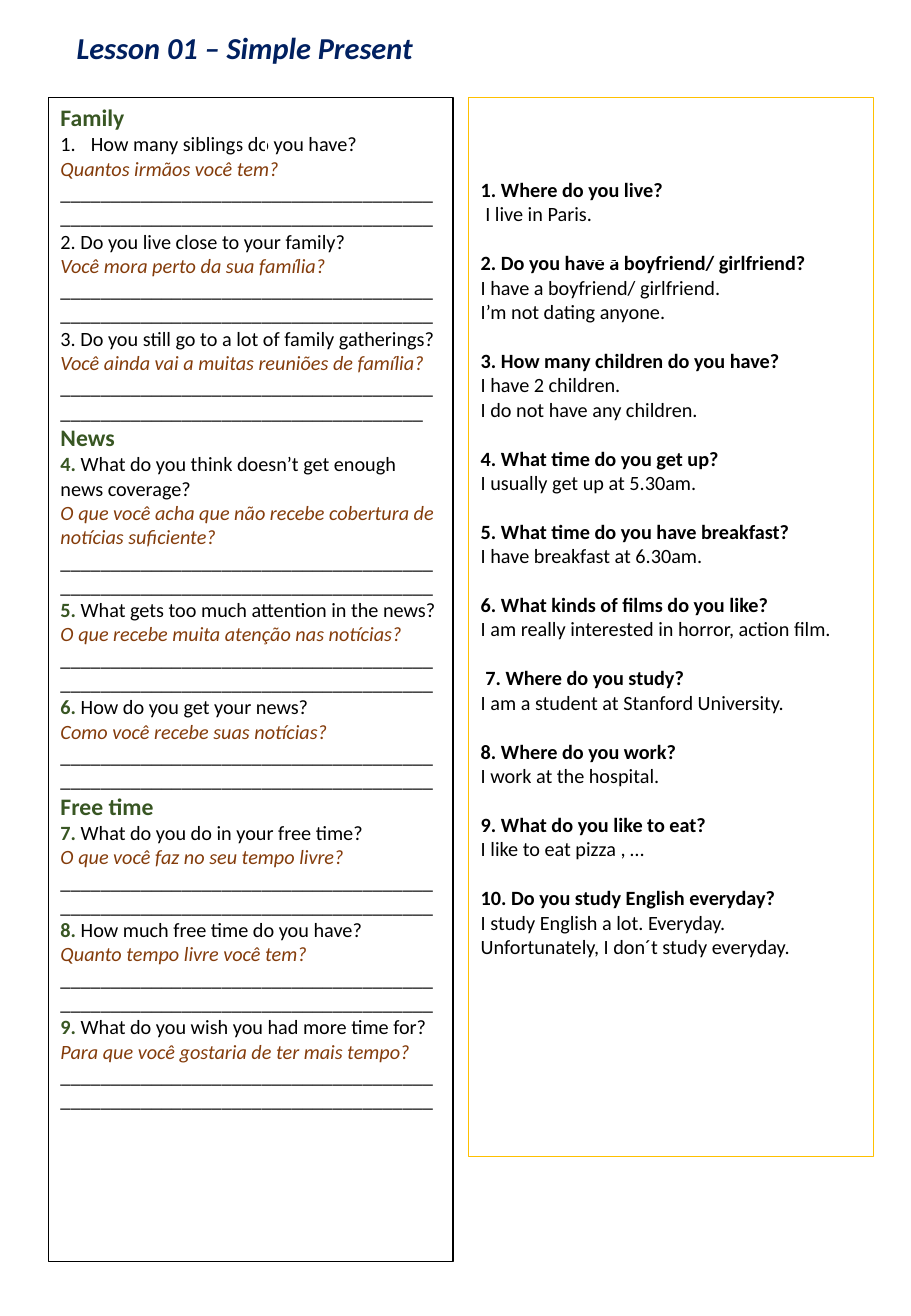
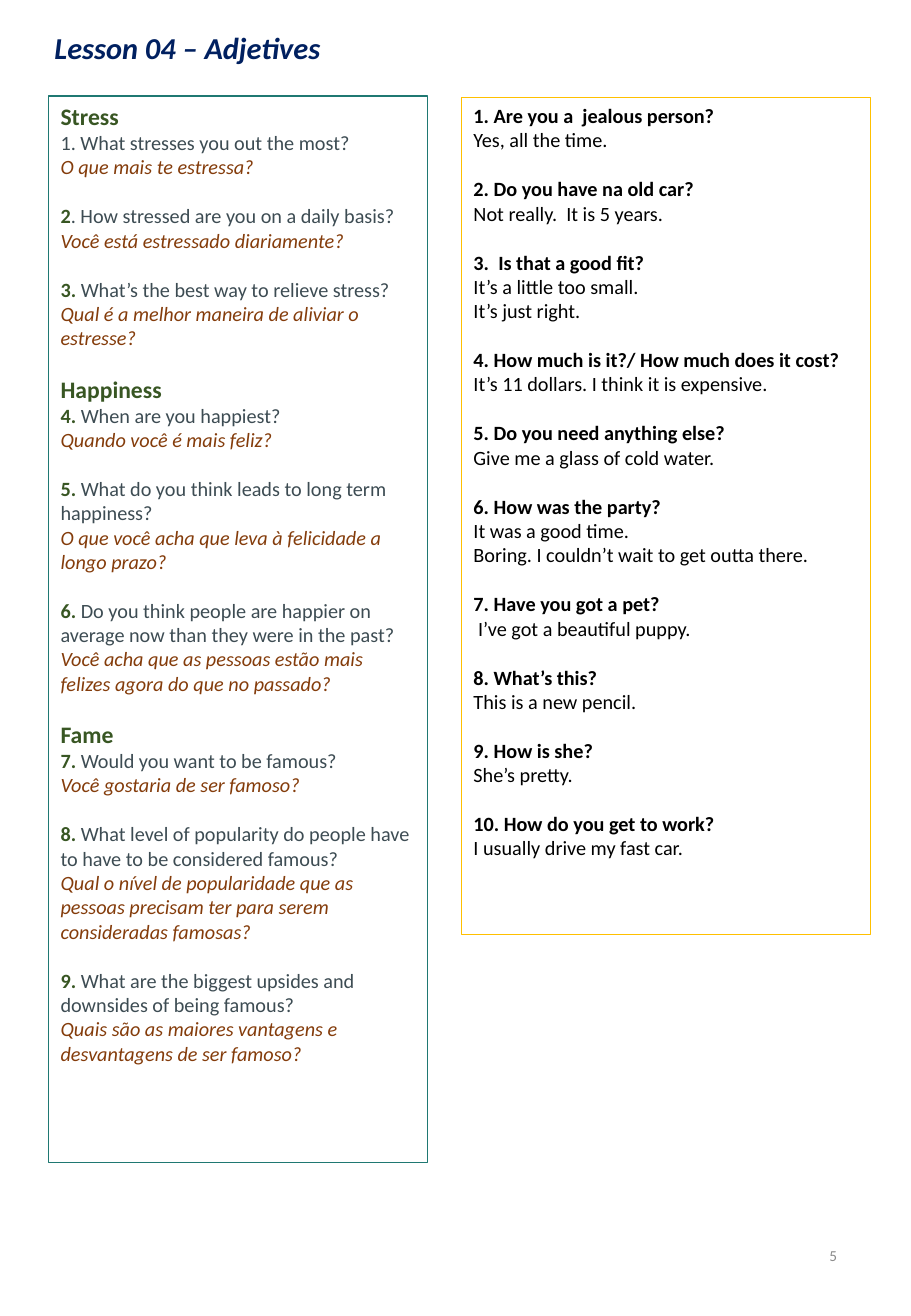
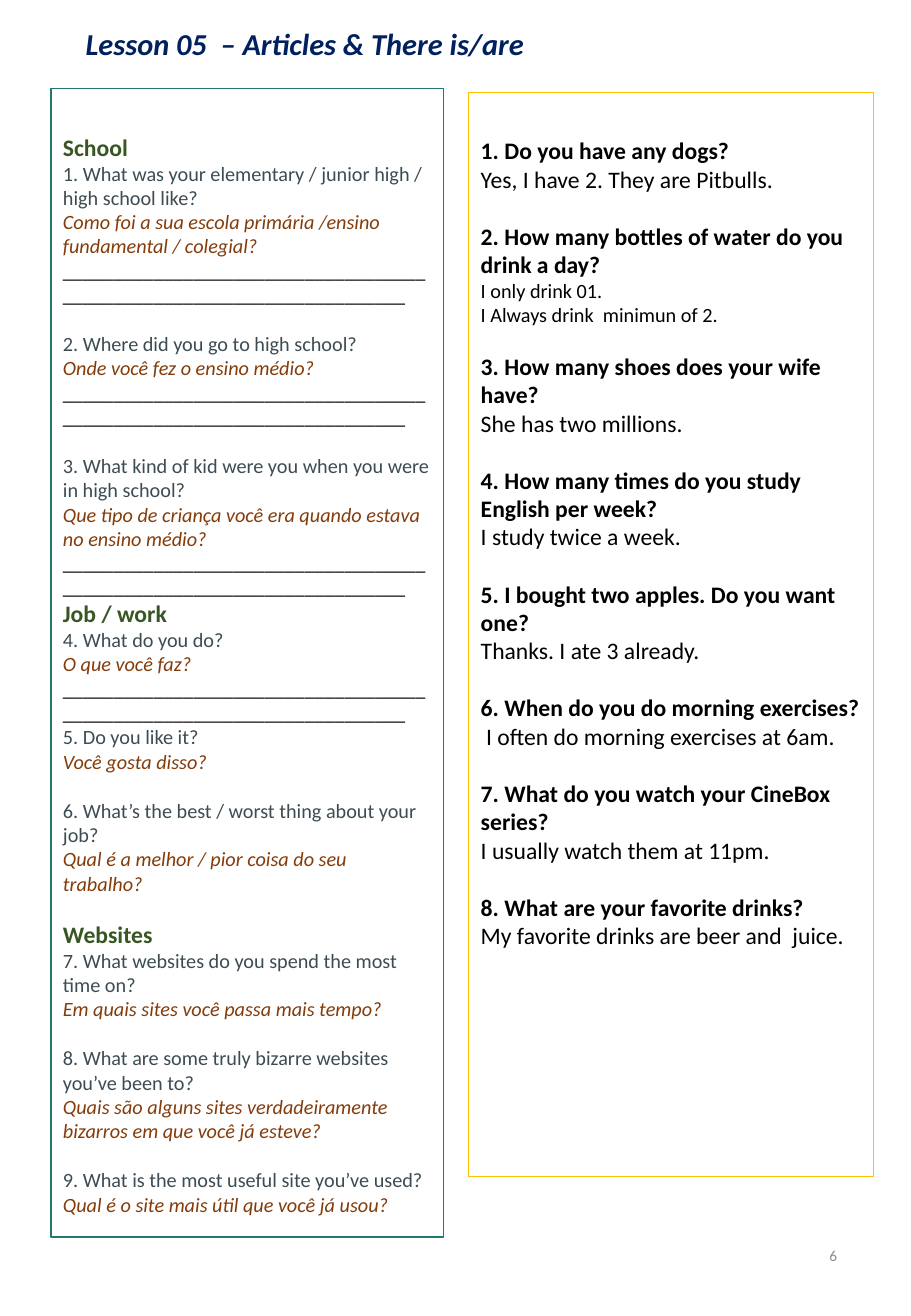
from dataclasses import dataclass

from lxml.etree import SubElement
from pptx import Presentation
from pptx.dml.color import RGBColor
from pptx.enum.shapes import MSO_SHAPE
from pptx.enum.text import MSO_ANCHOR, PP_ALIGN
from pptx.oxml.ns import qn
from pptx.util import Inches, Pt

# Shared style
FONT = "Calibri"
BLACK, WHITE, SLATE = "000000", "FFFFFF", "3D4C53"
NAVY, GREEN, BROWN, GRAY = "002060", "385623", "843C0B", "8B8B8B"
GOLD, TEAL = "FFC000", "1F7872"
BODY, HEADING, TITLE, FOOTER = 12, 14, 18, 9
LINE_HEIGHT = 1.22


def color(hex_string):
    return RGBColor.from_string(hex_string)


@dataclass
class Question:
    """A numbered question with its translation and an optional answer rule."""
    text: str
    translation: str
    lead: str = ""
    rule: int = 0
    gap: bool = False
    numbered: bool = False


@dataclass
class Topic:
    title: str
    questions: list
    gap: bool = False


@dataclass
class Dialogue:
    question: str
    answers: list
    answer_size: int = 0


class Worksheet:
    def __init__(self):
        self.deck = Presentation()
        self.deck.slide_width = Inches(7.5)
        self.deck.slide_height = Inches(10.83)
        self.slide = None

    def new_slide(self):
        self.slide = self.deck.slides.add_slide(self.deck.slide_layouts[6])

    def style(self, run, size, ink, bold=False, italic=False):
        font = run.font
        font.name, font.size = FONT, Pt(size)
        font.bold, font.italic = bold, italic
        font.color.rgb = color(ink)

    def label(self, text, place, size, ink, align, bold=False, italic=False):
        box = self.slide.shapes.add_textbox(*map(Inches, place))
        frame = box.text_frame
        frame.text = text
        line = frame.paragraphs[0]
        line.alignment = align
        self.style(line.runs[0], size, ink, bold, italic)
        return frame

    def title(self, text, place, align=PP_ALIGN.CENTER):
        frame = self.label(text, place, TITLE, NAVY, align, True, True)
        frame.word_wrap = False
        frame.paragraphs[0].line_spacing = 1.07

    def page_number(self, number):
        frame = self.label(str(number), (5.3, 10.04, 1.69, 0.58), FOOTER,
                           GRAY, PP_ALIGN.RIGHT)
        frame.word_wrap = True
        frame.vertical_anchor = MSO_ANCHOR.MIDDLE

    def outline(self, place, border, top_inset=0.05):
        panel = self.slide.shapes.add_shape(MSO_SHAPE.RECTANGLE,
                                            *map(Inches, place))
        panel.shadow.inherit = False
        panel.fill.background()
        panel.line.color.rgb = color(border)
        panel.line.width = Pt(0.75)
        frame = panel.text_frame
        frame.word_wrap = True
        frame.vertical_anchor = MSO_ANCHOR.TOP
        frame.margin_top = Inches(top_inset)
        return frame

    def paragraph(self, frame, text, size, ink, bold=False, italic=False,
                  gap=0, lead=""):
        line = frame.paragraphs[0]
        if line.runs:
            line = frame.add_paragraph()
            line.space_before = Pt(gap * LINE_HEIGHT)
        line.alignment = PP_ALIGN.LEFT
        line.text = lead or text
        if lead:
            line.add_run().text = text
            self.style(line.runs[0], size, GREEN, True)
        self.style(line.runs[-1], size, ink, bold, italic)
        return line

    def auto_number(self, line):
        props = line._p.get_or_add_pPr()
        props.set("marL", str(Inches(0.25)))
        props.set("indent", str(Inches(-0.25)))
        number_color = SubElement(props, qn("a:buClr"))
        SubElement(number_color, qn("a:srgbClr"), val=BLACK)
        SubElement(props, qn("a:buFont"), typeface=FONT)
        SubElement(props, qn("a:buAutoNum"), type="arabicPeriod")

    def topics(self, topics, place, border, ink, top_inset=0.05):
        frame = self.outline(place, border, top_inset)
        for topic in topics:
            self.paragraph(frame, topic.title, HEADING, GREEN, True,
                           gap=BODY * topic.gap)
            for item in topic.questions:
                line = self.paragraph(frame, item.text, BODY, ink,
                                      gap=BODY * item.gap, lead=item.lead)
                if item.numbered:
                    self.auto_number(line)
                self.paragraph(frame, item.translation, BODY, BROWN,
                               italic=True)
                if item.rule:
                    self.paragraph(frame, "_" * item.rule, BODY, BLACK)

    def dialogues(self, dialogues, place, size=BODY, top_inset=0.05):
        frame = self.outline(place, GOLD, top_inset)
        gap = 0
        for talk in dialogues:
            self.paragraph(frame, talk.question, size, BLACK, True, gap=gap)
            gap = talk.answer_size or size
            for answer in talk.answers:
                self.paragraph(frame, answer, gap, BLACK)


def simple_present(sheet):
    sheet.new_slide()
    sheet.dialogues([
        Dialogue("1. Where do you live?", [" I live in Paris."]),
        Dialogue("2. Do you have a boyfriend/ girlfriend?",
                 ["I have a boyfriend/ girlfriend.",
                  "I’m not dating anyone."]),
        Dialogue("3. How many children do you have?",
                 ["I have 2 children.", "I do not have any children."]),
        Dialogue("4. What time do you get up?",
                 ["I usually get up at 5.30am."]),
        Dialogue("5. What time do you have breakfast?",
                 ["I have breakfast at 6.30am."]),
        Dialogue("6. What kinds of films do you like?",
                 ["I am really interested in horror, action film."]),
        Dialogue(" 7. Where do you study?",
                 ["I am a student at Stanford University."]),
        Dialogue("8. Where do you work?", ["I work at the hospital."]),
        Dialogue("9. What do you like to eat?", ["I like to eat pizza , …"]),
        Dialogue("10. Do you study English everyday?",
                 ["I study English a lot. Everyday.",
                  "Unfortunately, I don´t study everyday."]),
    ], (3.86, 0.8, 3.33, 8.72), top_inset=0.66)
    sheet.topics([
        Topic("Family", [
            Question("How many siblings do you have?",
                     "Quantos irmãos você tem?", rule=74, numbered=True),
            Question("2. Do you live close to your family?",
                     "Você mora perto da sua família?", rule=74),
            Question("3. Do you still go to a lot of family gatherings?",
                     "Você ainda vai a muitas reuniões de família?", rule=73),
        ]),
        Topic("News", [
            Question("What do you think doesn’t get enough news coverage?",
                     "O que você acha que não recebe cobertura de notícias "
                     "suficiente?", "4. ", 74),
            Question("What gets too much attention in the news?",
                     "O que recebe muita atenção nas notícias?", "5. ", 74),
            Question("How do you get your news?",
                     "Como você recebe suas notícias?", "6. ", 74),
        ]),
        Topic("Free time", [
            Question("What do you do in your free time?",
                     "O que você faz no seu tempo livre?", "7. ", 74),
            Question("How much free time do you have?",
                     "Quanto tempo livre você tem?", "8. ", 74),
            Question("What do you wish you had more time for?",
                     "Para que você gostaria de ter mais tempo?", "9. ", 74),
        ]),
    ], (0.4, 0.8, 3.33, 9.58), BLACK, BLACK)
    sheet.title("Lesson 01 – Simple Present", (0.33, 0.17, 3.37, 0.42))
    # Small white frames over the text
    for left, top in ((1.95, 1.02), (4.84, 1.87)):
        sheet.outline((left, top, 0.24, 0.28), WHITE)


def adjectives(sheet):
    sheet.new_slide()
    sheet.dialogues([
        Dialogue("1. Are you a  jealous person?", ["Yes, all the time."]),
        Dialogue("2. Do you have na old car?",
                 ["Not really.  It is 5 years."]),
        Dialogue("3.  Is that a good fit?",
                 ["It’s a little too small.", "It’s just right."]),
        Dialogue("4. How much is it?/ How much does it cost?",
                 ["It’s 11 dollars. I think it is expensive."]),
        Dialogue("5. Do you need anything else?",
                 ["Give me a glass of cold water."]),
        Dialogue("6. How was the party?",
                 ["It was a good time.",
                  "Boring. I couldn’t wait to get outta there."]),
        Dialogue("7. Have you got a pet?", [" I’ve got a beautiful puppy."]),
        Dialogue("8. What’s this?", ["This is a new pencil."]),
        Dialogue("9. How is she?", ["She’s pretty."]),
        Dialogue("10. How do you get to work?",
                 ["I usually drive my fast car."]),
    ], (3.8, 0.8, 3.37, 6.89))
    sheet.topics([
        Topic("Stress", [
            Question("1. What stresses you out the most?",
                     "O que mais te estressa?"),
            Question(". How stressed are you on a daily basis?",
                     "Você está estressado diariamente?", "2", gap=True),
            Question("What’s the best way to relieve stress?",
                     "Qual é a melhor maneira de aliviar o estresse?",
                     "3. ", gap=True),
        ]),
        Topic("Happiness", [
            Question("When are you happiest?",
                     "Quando você é mais feliz?", "4. "),
            Question("What do you think leads to long term happiness?",
                     "O que você acha que leva à felicidade a longo prazo?",
                     "5. ", gap=True),
            Question("Do you think people are happier on average now than "
                     "they were in the past?",
                     "Você acha que as pessoas estão mais felizes agora do "
                     "que no passado?", "6. ", gap=True),
        ], gap=True),
        Topic("Fame", [
            Question("Would you want to be famous?",
                     "Você gostaria de ser famoso?", "7. "),
            Question("What level of popularity do people have to have to be "
                     "considered famous?",
                     "Qual o nível de popularidade que as pessoas precisam "
                     "ter para serem consideradas famosas?", "8. ", gap=True),
            Question("What are the biggest upsides and downsides of being "
                     "famous?",
                     "Quais são as maiores vantagens e desvantagens de ser "
                     "famoso?", "9. ", gap=True),
        ], gap=True),
    ], (0.4, 0.79, 3.12, 8.78), TEAL, SLATE)
    sheet.page_number(5)
    sheet.title("Lesson 04 – Adjetives", (0.35, 0.17, 2.68, 0.42),
                PP_ALIGN.LEFT)


def articles(sheet):
    sheet.new_slide()
    sheet.dialogues([
        Dialogue("1. Do you have any dogs?",
                 ["Yes, I have 2. They are Pitbulls."]),
        Dialogue("2. How many bottles of water do you drink a day?",
                 ["I only drink 01.", "I Always drink  minimun of 2."], BODY),
        Dialogue("3. How many shoes does your wife have?",
                 ["She has two millions."]),
        Dialogue("4. How many times do you study English per week?",
                 ["I study twice a week."]),
        Dialogue("5. I bought two apples. Do you want one?",
                 ["Thanks. I ate 3 already."]),
        Dialogue("6. When do you do morning exercises?",
                 [" I often do morning exercises at 6am."]),
        Dialogue("7. What do you watch your CineBox series?",
                 ["I usually watch them at 11pm."]),
        Dialogue("8. What are your favorite drinks?",
                 ["My favorite drinks are beer and  juice."]),
    ], (3.86, 0.76, 3.33, 8.92), HEADING, 0.36)
    sheet.topics([
        Topic("School", [
            Question("1. What was your elementary / junior high / high "
                     "school like?",
                     "Como foi a sua escola primária /ensino fundamental / "
                     "colegial?", rule=70),
            Question("2. Where did you go to high school?",
                     "Onde você fez o ensino médio?", rule=70, gap=True),
            Question("3. What kind of kid were you when you were in high "
                     "school?",
                     "Que tipo de criança você era quando estava no ensino "
                     "médio?", rule=70, gap=True),
        ]),
        Topic("Job / work", [
            Question("4. What do you do?", "O que você faz?", rule=70),
            Question("5. Do you like it?", "Você gosta disso?"),
            Question("6. What’s the best / worst thing about your job?",
                     "Qual é a melhor / pior coisa do seu trabalho?",
                     gap=True),
        ]),
        Topic("Websites", [
            Question("7. What websites do you spend the most time on?",
                     "Em quais sites você passa mais tempo?"),
            Question("8. What are some truly bizarre websites you’ve been "
                     "to?",
                     "Quais são alguns sites verdadeiramente bizarros em que "
                     "você já esteve?", gap=True),
            Question("9. What is the most useful site you’ve used?",
                     "Qual é o site mais útil que você já usou?", gap=True),
        ], gap=True),
    ], (0.42, 0.73, 3.23, 9.45), TEAL, SLATE, 0.36)
    sheet.page_number(6)
    sheet.title("Lesson 05  – Articles & There is/are",
                (0.37, 0.14, 4.28, 0.42))


def main():
    sheet = Worksheet()
    for lesson in (simple_present, adjectives, articles):
        lesson(sheet)
    sheet.deck.save("out.pptx")


if __name__ == "__main__":
    main()
